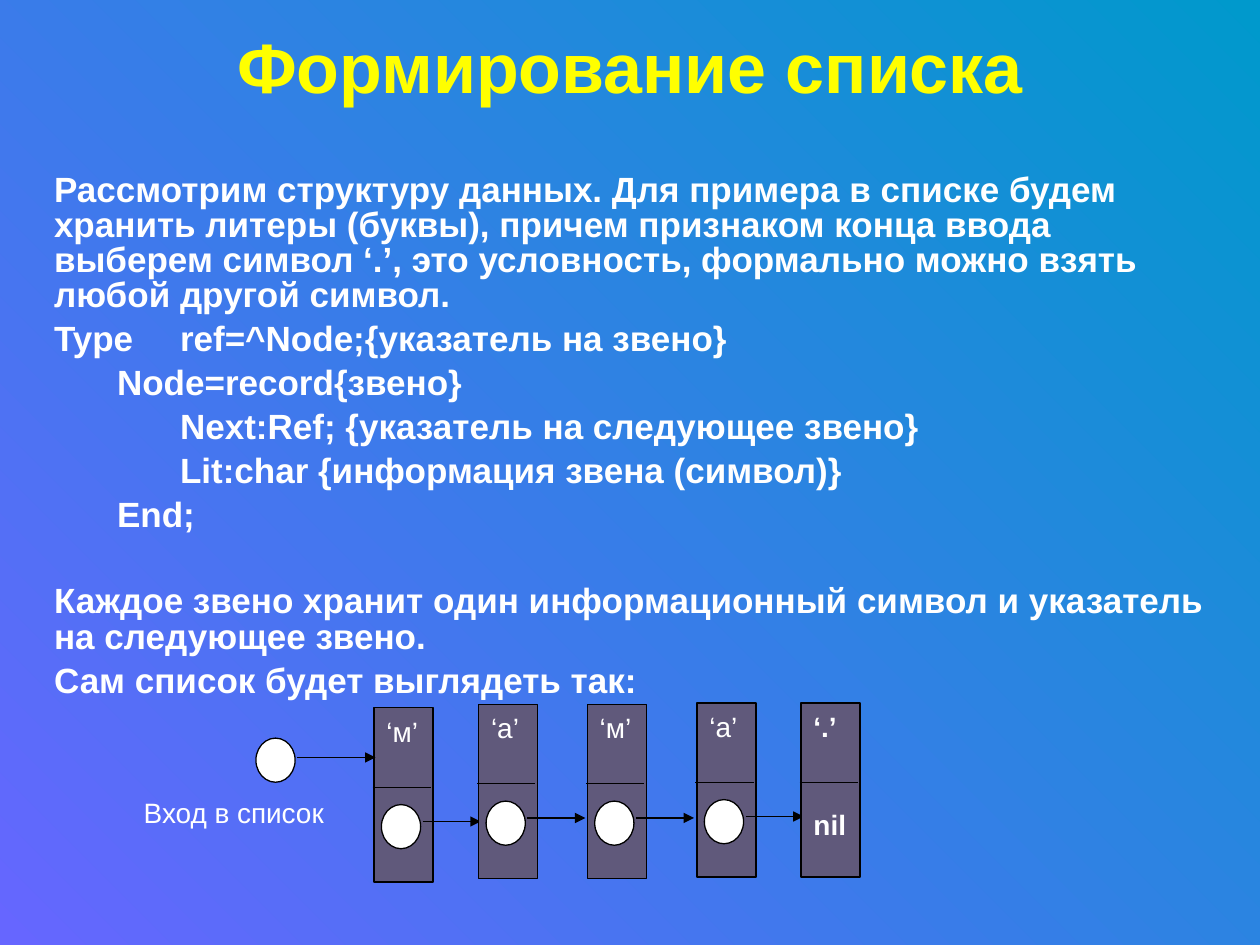
from lxml import etree
from pptx import Presentation
from pptx import util as u
from pptx.dml.color import RGBColor
from pptx.enum import shapes, text
from pptx.oxml.ns import qn

YELLOW = RGBColor(0xFF, 0xFF, 0x00)
WHITE = RGBColor(0xFF, 0xFF, 0xFF)
BLACK = RGBColor(0x00, 0x00, 0x00)
NODE_FILL = RGBColor(0x60, 0x59, 0x7B)
GRADIENT = [RGBColor(0x66, 0x66, 0xFF), RGBColor(0x00, 0x99, 0xCC)]

presentation = Presentation()
presentation.slide_width, presentation.slide_height = u.Cm(25.4), u.Cm(19.05)
slide = presentation.slides.add_slide(presentation.slide_layouts[5])


def add_box(kind, left, top, width, height, color):
    shape = slide.shapes.add_shape(kind, u.Cm(left), u.Cm(top), u.Cm(width), u.Cm(height))
    shape.shadow.inherit = False
    shape.fill.solid()
    shape.fill.fore_color.rgb = color
    shape.line.color.rgb = BLACK
    shape.line.width = u.Pt(0.75)
    return shape


def add_line(left, top, right, arrow=False):
    connector = slide.shapes.add_connector(
        shapes.MSO_CONNECTOR.STRAIGHT, u.Cm(left), u.Cm(top), u.Cm(right), u.Cm(top))
    connector.line.color.rgb = BLACK
    connector.line.width = u.Pt(0.75)
    if arrow:
        etree.SubElement(connector.line._get_or_add_ln(), qn("a:tailEnd"), type="triangle")
    etree.SubElement(connector._element.spPr, qn("a:effectLst"))


background = slide.background.fill
background.gradient()
background.gradient_angle = 45
for stop, color in zip(background.gradient_stops, GRADIENT):
    stop.color.rgb = color

title = slide.shapes.title
title.left, title.top, title.width, title.height = u.Cm(1.27), u.Cm(0.76), u.Cm(22.86), u.Cm(1.14)
title.text_frame.text = "Формирование списка"
title.text_frame.auto_size = text.MSO_AUTO_SIZE.NONE
title.text_frame.vertical_anchor = text.MSO_ANCHOR.MIDDLE
title.text_frame.paragraphs[0].alignment = text.PP_ALIGN.CENTER
font = title.text_frame.paragraphs[0].runs[0].font
font.name, font.size, font.bold = "Arial", u.Pt(40), True
font.color.rgb = YELLOW

body_lines = [
    ("Рассмотрим структуру данных. Для примера в списке будем хранить литеры (буквы), "
     "причем признаком конца ввода выберем символ ‘.’, это условность, формально можно "
     "взять любой другой символ.", 0),
    ("Type \tref=^Node;{указатель на звено}", 5),
    ("\tNode=record{звено}", 5),
    ("\t\tNext:Ref; {указатель на следующее звено}", 5),
    ("\t\tLit:char {информация звена (символ)}", 5),
    ("\tEnd;", 5),
    ("Каждое звено хранит один информационный символ и указатель на следующее звено.", 29),
    ("Сам список будет выглядеть так:", 5),
]
body = slide.shapes.add_textbox(u.Cm(0.84), u.Cm(3.38), u.Cm(23.7), u.Cm(11))
body.text_frame.word_wrap = True
body.text_frame.text = "\n".join(line for line, _ in body_lines)
for paragraph, (_, space) in zip(body.text_frame.paragraphs, body_lines):
    paragraph.line_spacing = 0.84
    paragraph.space_before = u.Pt(space)
    font = paragraph.runs[0].font
    font.name, font.size, font.bold = "Arial", u.Pt(20), True
    font.color.rgb = WHITE

nodes = [
    (7.54, 14.27, "‘м’"),
    (9.65, 14.2, "‘а’"),
    (11.84, 14.2, "‘м’"),
    (14.05, 14.17, "‘а’"),
    (16.15, 14.17, "‘.’\nnil"),
]
for left, top, label in nodes:
    last = "nil" in label
    node = add_box(shapes.MSO_SHAPE.RECTANGLE, left, top, 1.19, 3.51, NODE_FILL)
    node.text_frame.text = label
    node.text_frame.vertical_anchor = text.MSO_ANCHOR.TOP
    for index, paragraph in enumerate(node.text_frame.paragraphs):
        paragraph.alignment = text.PP_ALIGN.LEFT
        paragraph.space_before = u.Pt(37 * index)
        font = paragraph.runs[0].font
        font.name, font.size, font.bold = "Arial", u.Pt(16), last
        font.color.rgb = WHITE
    add_line(left - 0.03, top + 1.6, left + 1.14)
    if not last:
        add_box(shapes.MSO_SHAPE.OVAL, left + 0.15, top + 1.95, 0.79, 0.89, WHITE)
        add_line(left + 0.98, top + 2.29, left + 2.15, arrow=True)

add_box(shapes.MSO_SHAPE.OVAL, 5.16, 14.88, 0.79, 0.89, WHITE)
add_line(5.99, 15.27, 7.57, arrow=True)

entry = slide.shapes.add_textbox(u.Cm(2.34), u.Cm(15.91), u.Cm(4.75), u.Cm(1.1))
entry.text_frame.word_wrap = True
entry.text_frame.text = "Вход в список"
entry.text_frame.paragraphs[0].alignment = text.PP_ALIGN.CENTER
font = entry.text_frame.paragraphs[0].runs[0].font
font.name, font.size = "Arial", u.Pt(16)
font.color.rgb = WHITE

presentation.save("out.pptx")
